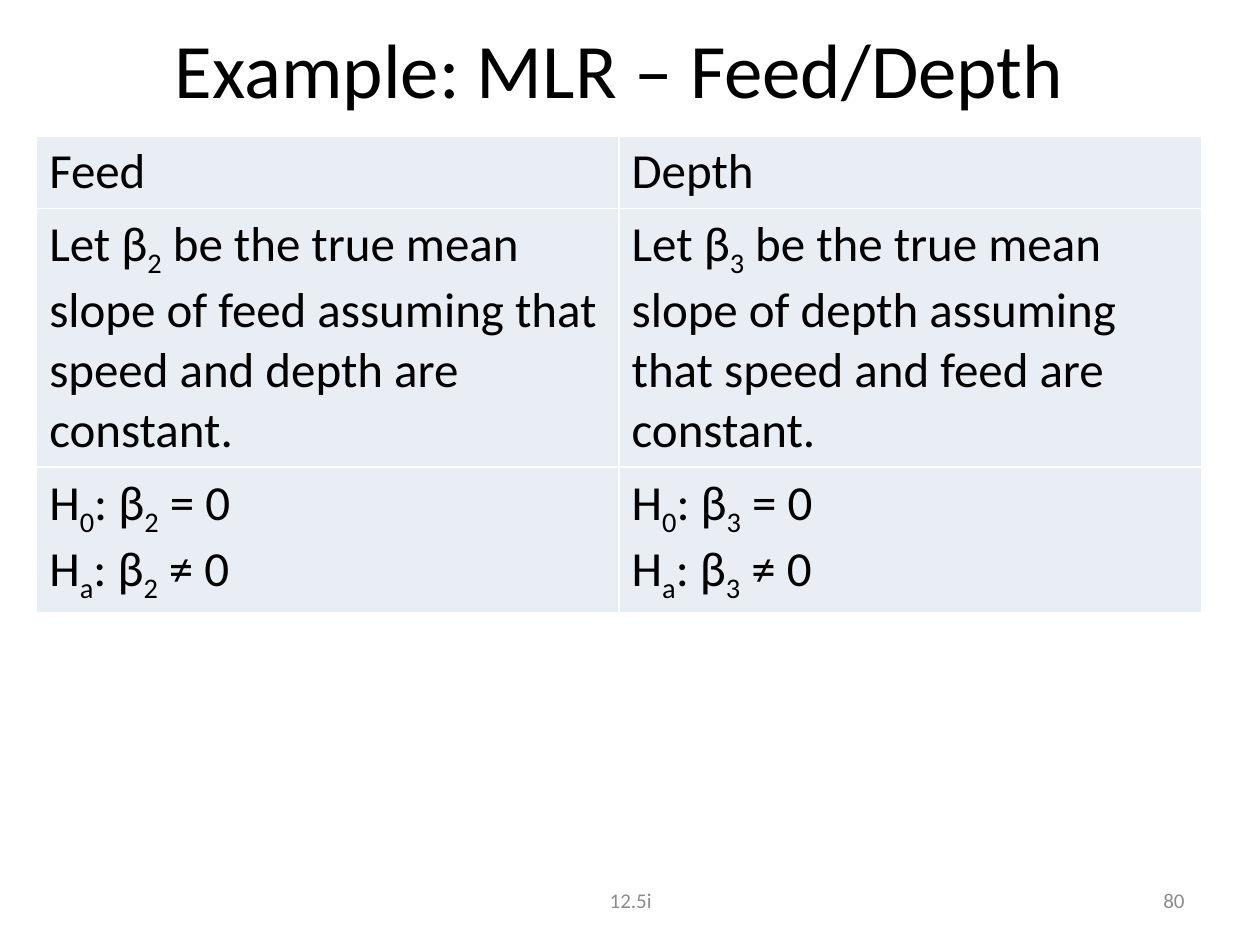
from pptx import Presentation
from pptx.dml.color import RGBColor
from pptx.enum import text
from pptx.util import Cm, Pt

BLACK = RGBColor(0x00, 0x00, 0x00)
GREY = RGBColor(0x8C, 0x8C, 0x8C)
PALE_BLUE = RGBColor(0xE9, 0xED, 0xF4)
FONT = "Calibri"

TITLE = "Example: MLR – Feed/Depth"
# (predictor, coefficient index, other predictors)
PREDICTORS = [
    ("feed", 2, "speed and depth"),
    ("depth", 3, "speed and feed"),
]
# "_" lowers the one character after it
FOOTERS = [
    ("12.5i", 8.69, 8.05, text.PP_ALIGN.CENTER),
    ("80", 18.21, 5.92, text.PP_ALIGN.RIGHT),
]


def column_cells(predictor, index, others):
    """Return the cells of one column, each a list of paragraphs."""
    return [
        [predictor.capitalize()],
        [f"Let β_{index} be the true mean slope of {predictor} "
         f"assuming that {others} are constant."],
        [f"H_0: β_{index} = 0", f"H_a: β_{index} ≠ 0"],
    ]


def style(paragraph, size, color, align):
    paragraph.alignment = align
    paragraph.font.name = FONT
    paragraph.font.size = Pt(size)
    paragraph.font.color.rgb = color


def add_marked_runs(paragraph, marked):
    """Add runs, with the character after each "_" as a subscript."""
    plain, *lowered = marked.split("_")
    paragraph.add_run().text = plain
    for piece in lowered:
        subscript = paragraph.add_run()
        subscript.text = piece[0]
        subscript.font._element.set("baseline", "-25000")
        paragraph.add_run().text = piece[1:]


def fill_cell(cell, lines):
    cell.fill.solid()
    cell.fill.fore_color.rgb = PALE_BLUE
    frame = cell.text_frame
    for number, line in enumerate(lines):
        paragraph = frame.add_paragraph() if number else frame.paragraphs[0]
        style(paragraph, 28, BLACK, text.PP_ALIGN.LEFT)
        add_marked_runs(paragraph, line)


def add_hypotheses(slide):
    columns = [column_cells(*predictor) for predictor in PREDICTORS]
    frame = slide.shapes.add_table(len(columns[0]), len(columns),
                                   Cm(0.74), Cm(2.74), Cm(23.48), Cm(9.07))
    table = frame.table
    table.first_row = table.horz_banding = False
    for row in table.rows:
        row.height = Cm(1.03)  # rows grow with their text
    frame.height = Cm(9.07)
    for c, cells in enumerate(columns):
        for r, lines in enumerate(cells):
            fill_cell(table.cell(r, c), lines)


def add_footer(slide, label, left, width, align):
    footer = slide.shapes.add_textbox(Cm(left), Cm(17.65), Cm(width), Cm(1.01))
    frame = footer.text_frame
    frame.word_wrap = True
    frame.vertical_anchor = text.MSO_ANCHOR.MIDDLE
    frame.text = label
    style(frame.paragraphs[0], 12, GREY, align)


def main():
    deck = Presentation()
    deck.slide_width, deck.slide_height = Cm(25.4), Cm(19.05)
    slide = deck.slides.add_slide(deck.slide_layouts[5])

    title = slide.shapes.title
    title.left, title.top, title.width, title.height = (
        Cm(1.06), Cm(0), Cm(22.86), Cm(2.74))
    title.text_frame.text = TITLE
    title.text_frame.vertical_anchor = text.MSO_ANCHOR.MIDDLE
    style(title.text_frame.paragraphs[0], 44, BLACK, text.PP_ALIGN.CENTER)

    add_hypotheses(slide)
    for footer in FOOTERS:
        add_footer(slide, *footer)
    deck.save("out.pptx")


if __name__ == "__main__":
    main()
